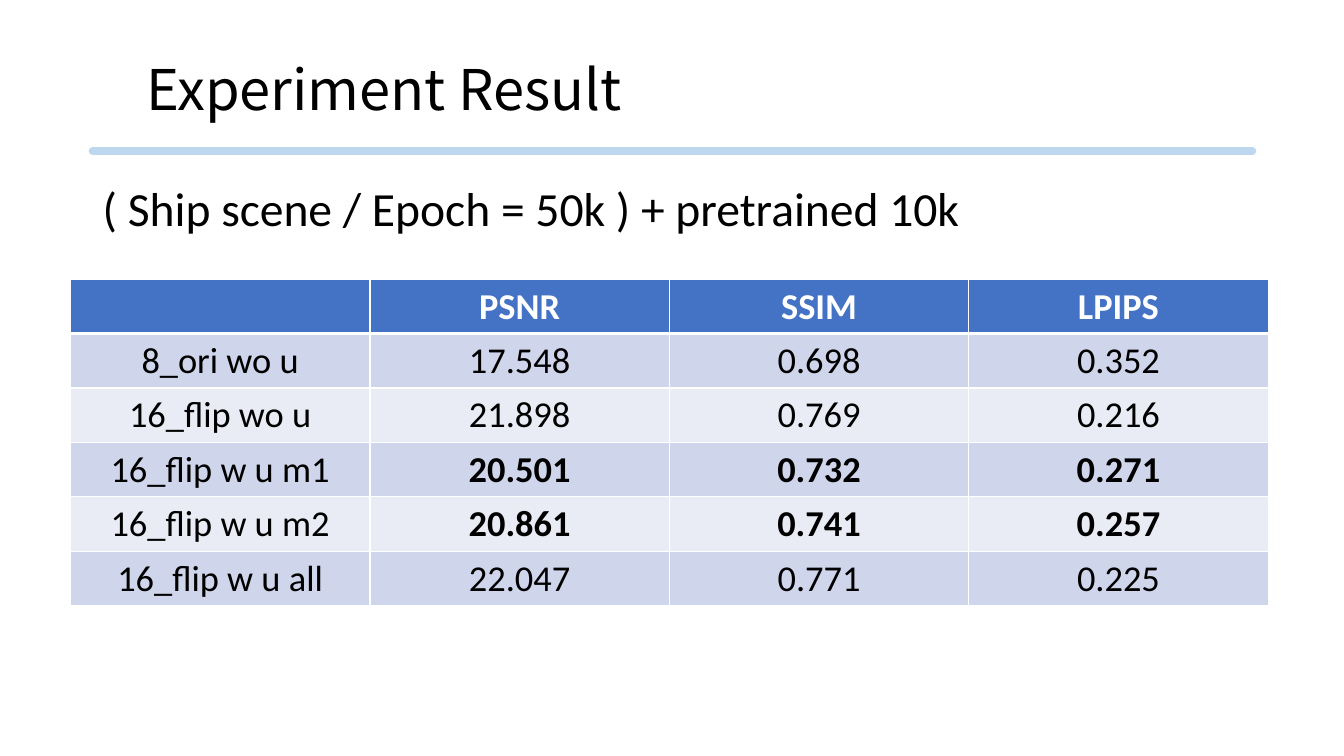
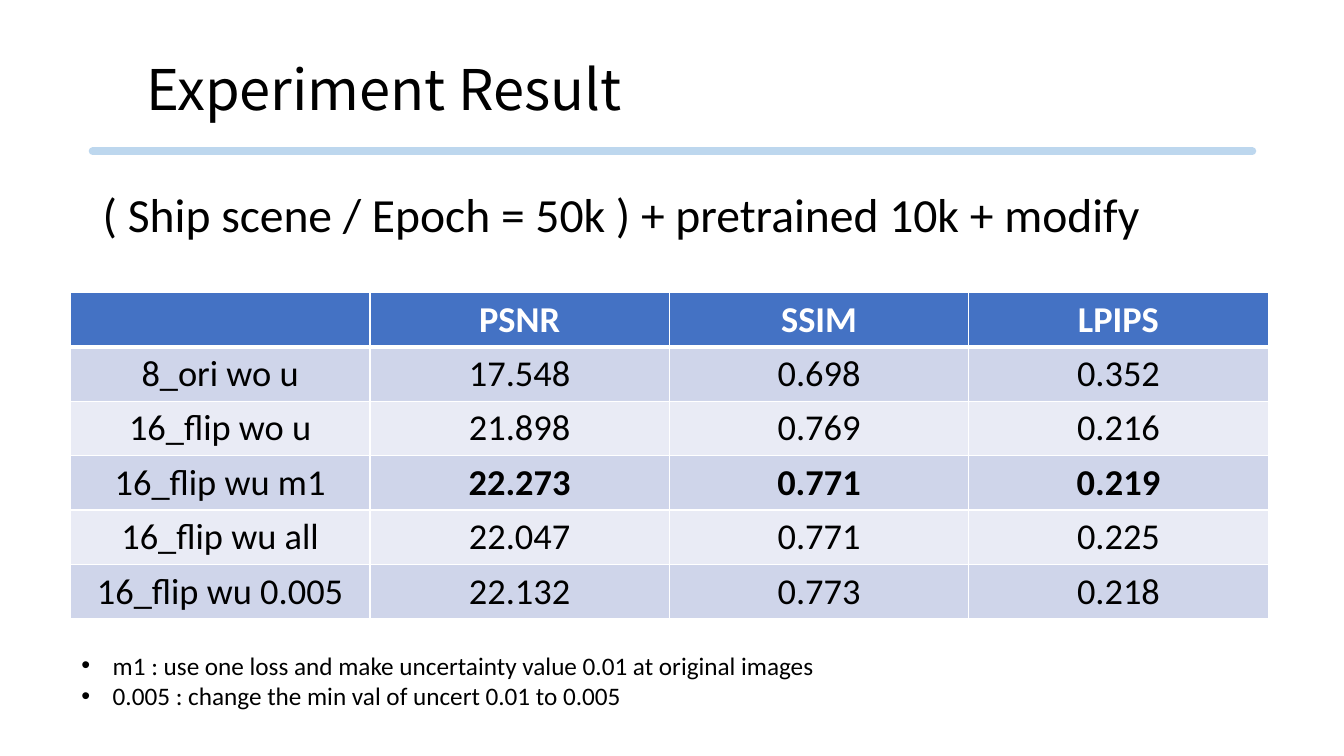
"""Build two experiment result slides, each with a metrics table."""
from dataclasses import dataclass

from lxml.etree import SubElement
from pptx import Presentation
from pptx.dml.color import RGBColor
from pptx.enum.shapes import MSO_CONNECTOR
from pptx.enum.text import MSO_ANCHOR, PP_ALIGN
from pptx.oxml.ns import qn
from pptx.util import Pt

PX = 9144
SLIDE_SIZE = (1333, 750)
TITLE = "Experiment Result"
TITLE_BOX = (135, 49, 1120, 77)
RULE = (92, 150, 1242, 150)
SUBTITLE_LEFT, SUBTITLE_WIDTH, SUBTITLE_HEIGHT = 92, 1150, 80
TABLE_LEFT, COLUMN_WIDTH, ROW_HEIGHT = 70, 297, 54
NOTES_BOX = (71, 640, 761, 71)
NOTE_INDENT = 31

HEADER = ("", "PSNR", "SSIM", "LPIPS")
BASELINES = [
    ("8_ori wo u", "17.548", "0.698", "0.352"),
    ("16_flip wo u", "21.898", "0.769", "0.216"),
]
ALL_METRICS = ("22.047", "0.771", "0.225")
SLIDES = [
    {
        "subtitle": "( Ship scene / Epoch = 50k ) + pretrained 10k",
        "subtitle_top": 179,
        "table_top": 277,
        "results": BASELINES + [
            ("16_flip w u m1", "20.501", "0.732", "0.271"),
            ("16_flip w u m2", "20.861", "0.741", "0.257"),
            ("16_flip w u all", *ALL_METRICS),
        ],
        "highlights": ("16_flip w u m1", "16_flip w u m2"),
        "notes": (),
    },
    {
        "subtitle": "( Ship scene / Epoch = 50k ) + pretrained 10k + modify",
        "subtitle_top": 185,
        "table_top": 290,
        "results": BASELINES + [
            ("16_flip wu m1", "22.273", "0.771", "0.219"),
            ("16_flip wu all", *ALL_METRICS),
            ("16_flip wu 0.005", "22.132", "0.773", "0.218"),
        ],
        "highlights": ("16_flip wu m1",),
        "notes": (
            "m1 : use one loss and make uncertainty value 0.01 at original images",
            "0.005 : change the min val of uncert 0.01 to 0.005",
        ),
    },
]


@dataclass(frozen=True)
class Theme:
    title_font: str = "Noto Sans CJK KR"
    body_font: str = "Calibri"
    title_size: float = 40
    subtitle_size: float = 34
    table_size: float = 26
    note_size: float = 18
    rule_width: float = 5.75
    border_width: float = 1
    header_border_width: float = 3
    ink: str = "000000"
    paper: str = "FFFFFF"
    rule: str = "BDD7EE"
    header: str = "4472C4"
    bands: tuple = ("CFD5EA", "E9EBF5")


THEME = Theme()


def emu(*lengths):
    return [length * PX for length in lengths]


def style(paragraph, size, color=THEME.ink, name=THEME.body_font, bold=False):
    font = paragraph.font
    font.name, font.size, font.bold = name, Pt(size), bold
    font.color.rgb = RGBColor.from_string(color)


def add_title(slide):
    title = slide.shapes.title
    title.left, title.top, title.width, title.height = emu(*TITLE_BOX)
    frame = title.text_frame
    frame.text = TITLE
    frame.vertical_anchor = MSO_ANCHOR.MIDDLE
    paragraph = frame.paragraphs[0]
    paragraph.alignment = PP_ALIGN.LEFT
    style(paragraph, THEME.title_size, name=THEME.title_font)


def add_rule(slide):
    rule = slide.shapes.add_connector(MSO_CONNECTOR.STRAIGHT, *emu(*RULE))
    rule.line.color.rgb = RGBColor.from_string(THEME.rule)
    rule.line.width = Pt(THEME.rule_width)
    properties = rule._element.spPr
    properties.find(qn("a:ln")).set("cap", "rnd")
    SubElement(properties, qn("a:effectLst"))


def add_subtitle(slide, text, top):
    box = emu(SUBTITLE_LEFT, top, SUBTITLE_WIDTH, SUBTITLE_HEIGHT)
    frame = slide.shapes.add_textbox(*box).text_frame
    frame.word_wrap = True
    frame.text = text
    paragraph = frame.paragraphs[0]
    paragraph.line_spacing = 0.9
    style(paragraph, THEME.subtitle_size)


def add_borders(cell, top_width, bottom_width):
    properties = cell._tc.get_or_add_tcPr()
    widths = {"lnL": THEME.border_width, "lnR": THEME.border_width,
              "lnT": top_width, "lnB": bottom_width}
    for side, width in widths.items():
        border = SubElement(properties, qn(f"a:{side}"), w=str(Pt(width)))
        fill = SubElement(border, qn("a:solidFill"))
        SubElement(fill, qn("a:srgbClr"), val=THEME.paper)


def add_results(slide, results, highlights, top):
    rows = [HEADER, *results]
    box = emu(TABLE_LEFT, top, COLUMN_WIDTH * len(HEADER), ROW_HEIGHT * len(rows))
    table = slide.shapes.add_table(len(rows), len(HEADER), *box).table
    for row_index, row in enumerate(rows):
        is_header = row_index == 0
        background = THEME.header if is_header else THEME.bands[(row_index - 1) % 2]
        top_width = THEME.header_border_width if row_index == 1 else THEME.border_width
        bottom_width = THEME.header_border_width if is_header else THEME.border_width
        for column_index, value in enumerate(row):
            cell = table.cell(row_index, column_index)
            add_borders(cell, top_width, bottom_width)
            cell.fill.solid()
            cell.fill.fore_color.rgb = RGBColor.from_string(background)
            cell.text = value
            paragraph = cell.text_frame.paragraphs[0]
            paragraph.alignment = PP_ALIGN.CENTER
            highlighted = row[0] in highlights and column_index > 0
            style(paragraph, THEME.table_size,
                  color=THEME.paper if is_header else THEME.ink,
                  bold=is_header or highlighted)


def add_notes(slide, notes):
    frame = slide.shapes.add_textbox(*emu(*NOTES_BOX)).text_frame
    frame.word_wrap = False
    frame.text = "\n".join(notes)
    for paragraph in frame.paragraphs:
        properties = paragraph._p.get_or_add_pPr()
        properties.set("marL", str(NOTE_INDENT * PX))
        properties.set("indent", str(-NOTE_INDENT * PX))
        SubElement(properties, qn("a:buFont"), typeface="Arial")
        SubElement(properties, qn("a:buChar"), char="•")
        style(paragraph, THEME.note_size)


def main():
    presentation = Presentation()
    presentation.slide_width, presentation.slide_height = emu(*SLIDE_SIZE)
    title_only = presentation.slide_layouts[5]
    for content in SLIDES:
        slide = presentation.slides.add_slide(title_only)
        add_rule(slide)
        add_title(slide)
        add_subtitle(slide, content["subtitle"], content["subtitle_top"])
        add_results(slide, content["results"], content["highlights"], content["table_top"])
        if content["notes"]:
            add_notes(slide, content["notes"])
    presentation.save("out.pptx")


if __name__ == "__main__":
    main()
